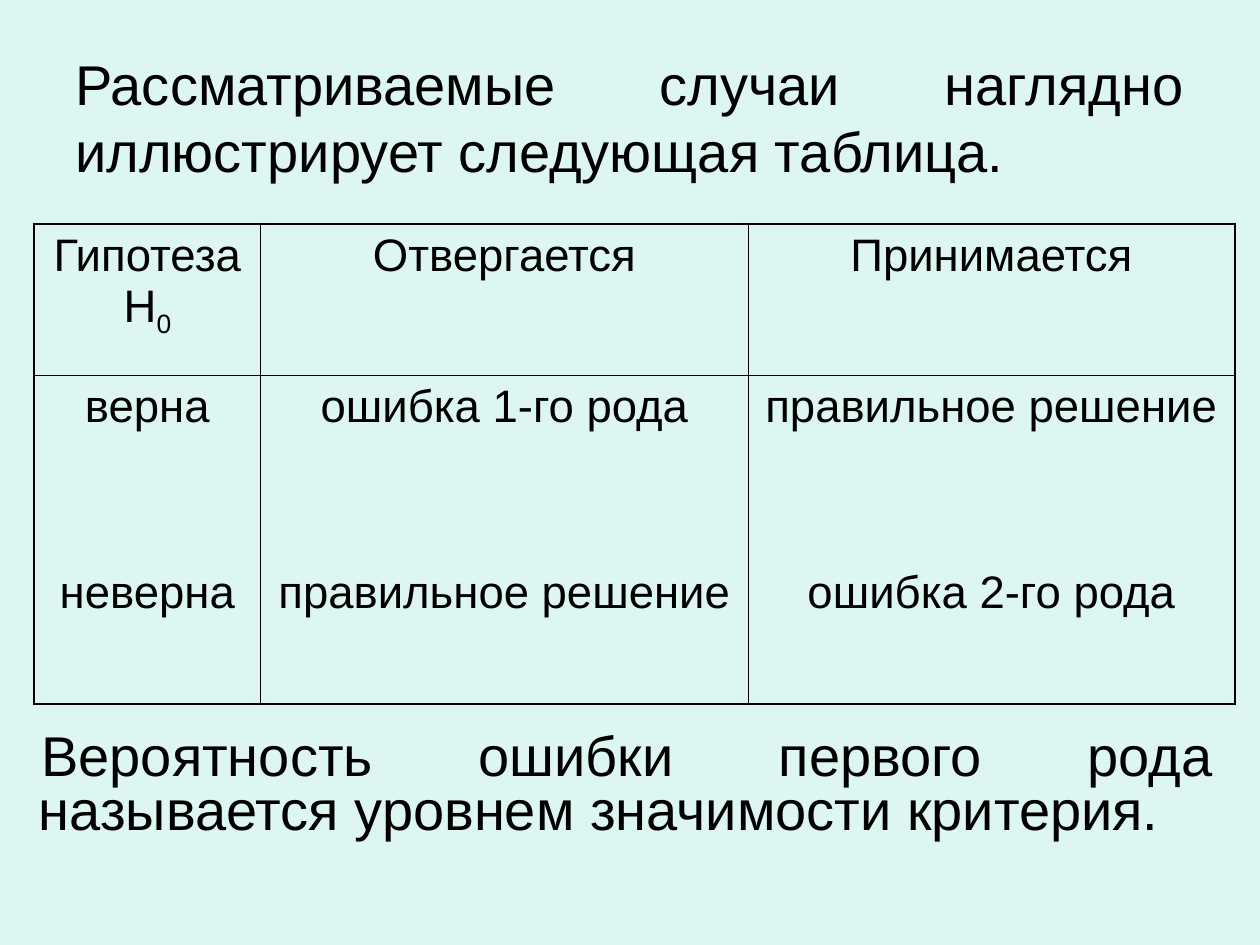
from dataclasses import dataclass

from lxml import etree
from pptx import Presentation
from pptx.dml.color import RGBColor
from pptx.enum.text import MSO_ANCHOR, PP_ALIGN
from pptx.oxml.ns import qn
from pptx.util import Inches, Pt

JUSTIFY, CENTER = PP_ALIGN.JUSTIFY, PP_ALIGN.CENTER
TOP, MIDDLE = MSO_ANCHOR.TOP, MSO_ANCHOR.MIDDLE


@dataclass(frozen=True)
class Theme:
    background: str = "DEF6F1"
    ink: str = "000000"
    font: str = "Arial"
    prose_size: float = 32
    cell_size: float = 26
    outer_border: float = 1.08
    inner_border: float = 0.45


THEME = Theme()

COLUMN_WIDTHS = (1.8, 3.87, 3.86)
ROW_HEIGHTS = (1.2, 2.61)
CASE_GAP = 77  # points between the two cases of the lower row

# Each cell is a list of paragraphs; "_" introduces a subscript
DECISIONS = (
    (["Гипотеза H_0"], ["Отвергается"], ["Принимается"]),
    (["верна", "неверна"],
     ["ошибка 1-го рода", "правильное решение"],
     ["правильное решение", "ошибка 2-го рода"]),
)


def write(paragraph, text, *, size, align, before=0, line=None):
    """Fill a paragraph; the part after "_" is set as a subscript."""
    paragraph.alignment = align
    paragraph.space_before = Pt(before)
    if line:
        paragraph.line_spacing = line
    for index, part in enumerate(text.split("_")):
        run = paragraph.add_run()
        run.text = part
        run.font.name = THEME.font
        run.font.size = Pt(size)
        run.font.color.rgb = RGBColor.from_string(THEME.ink)
        if index:
            run.font._element.set("baseline", "-25000")


def add_prose(slide, text, left, top, width, height, *,
              anchor=TOP, inset_top=0.05, line=None):
    frame = slide.shapes.add_textbox(
        Inches(left), Inches(top), Inches(width), Inches(height)).text_frame
    frame.word_wrap = True
    frame.vertical_anchor = anchor
    frame.margin_top = Inches(inset_top)
    paragraph = frame.paragraphs[0]
    write(paragraph, text, size=THEME.prose_size, align=JUSTIFY, line=line)
    return paragraph


def set_borders(cell, outer_sides):
    """Draw all four sides, heavier on the rim of the table."""
    properties = cell._tc.get_or_add_tcPr()
    for index, side in enumerate("LRTB"):
        weight = THEME.outer_border if side in outer_sides else THEME.inner_border
        border = etree.Element(qn(f"a:ln{side}"), w=str(Pt(weight)))
        fill = etree.SubElement(border, qn("a:solidFill"))
        etree.SubElement(fill, qn("a:srgbClr"), val=THEME.ink)
        properties.insert(index, border)


def add_decision_table(slide, left, top):
    rows, columns = len(ROW_HEIGHTS), len(COLUMN_WIDTHS)
    table = slide.shapes.add_table(
        rows, columns, Inches(left), Inches(top),
        Inches(sum(COLUMN_WIDTHS)), Inches(sum(ROW_HEIGHTS))).table
    table.first_row = table.horz_banding = False
    for column, width in zip(table.columns, COLUMN_WIDTHS):
        column.width = Inches(width)
    for row, height in zip(table.rows, ROW_HEIGHTS):
        row.height = Inches(height)

    for r, row_texts in enumerate(DECISIONS):
        for c, cases in enumerate(row_texts):
            cell = table.cell(r, c)
            cell.fill.background()
            rim = {"T": r == 0, "B": r == rows - 1,
                   "L": c == 0, "R": c == columns - 1}
            set_borders(cell, [side for side, on_rim in rim.items() if on_rim])
            frame = cell.text_frame
            for index, case in enumerate(cases):
                paragraph = frame.add_paragraph() if index else frame.paragraphs[0]
                write(paragraph, case, size=THEME.cell_size, align=CENTER,
                      before=CASE_GAP if index else 0)


def main():
    presentation = Presentation()
    presentation.slide_width, presentation.slide_height = Inches(10), Inches(7.5)
    slide = presentation.slides.add_slide(presentation.slide_layouts[6])
    slide.background.fill.solid()
    slide.background.fill.fore_color.rgb = RGBColor.from_string(THEME.background)

    # Introduction
    add_prose(slide, "Рассматриваемые случаи наглядно иллюстрирует следующая таблица.",
              0.5, 0.3, 9, 1.25, anchor=MIDDLE)

    # Conclusion, set below the table
    conclusion = add_prose(
        slide, "Вероятность ошибки первого рода называется уровнем значимости критерия.",
        0.2, 4.62, 9.53, 2.08, inset_top=1.2, line=0.8)
    indents = conclusion._p.get_or_add_pPr()
    indents.set("marL", str(Inches(0.01)))
    indents.set("indent", str(Inches(0.02)))

    # Decisions and errors
    add_decision_table(slide, 0.27, 1.78)

    presentation.save("out.pptx")


if __name__ == "__main__":
    main()
